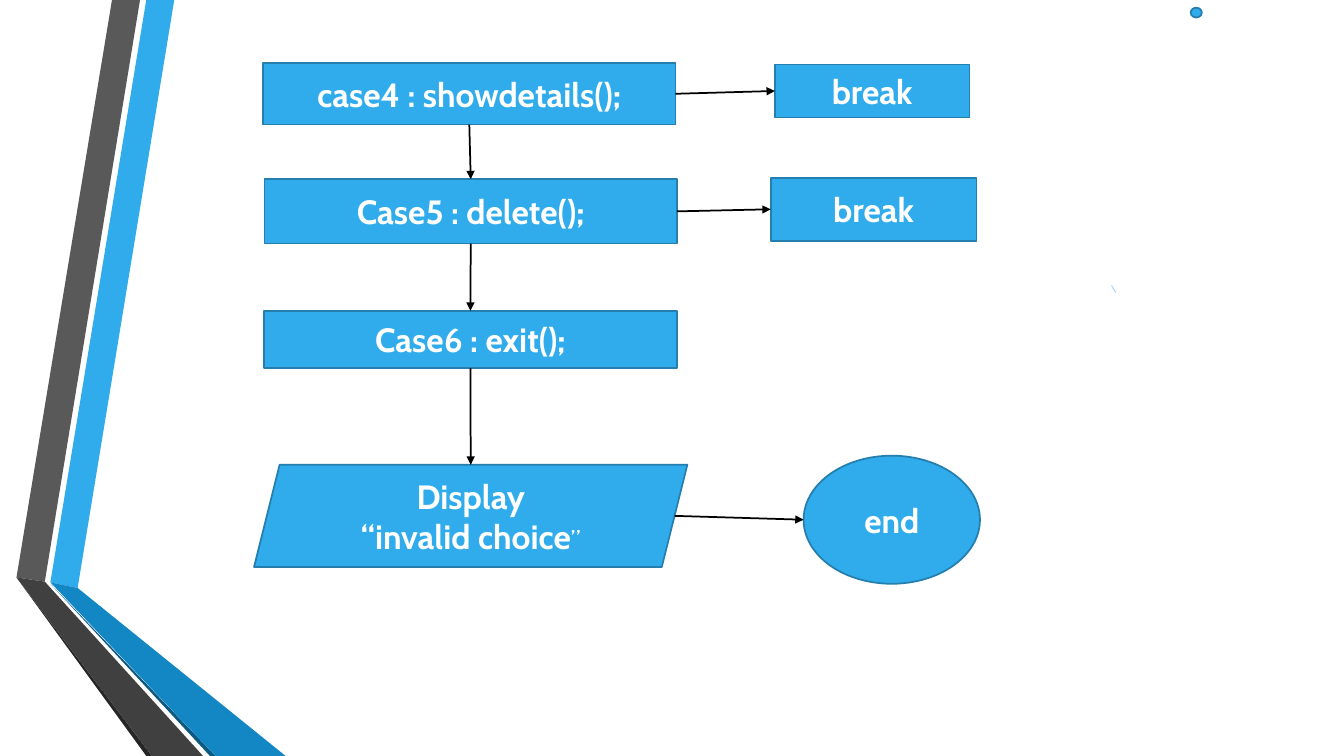
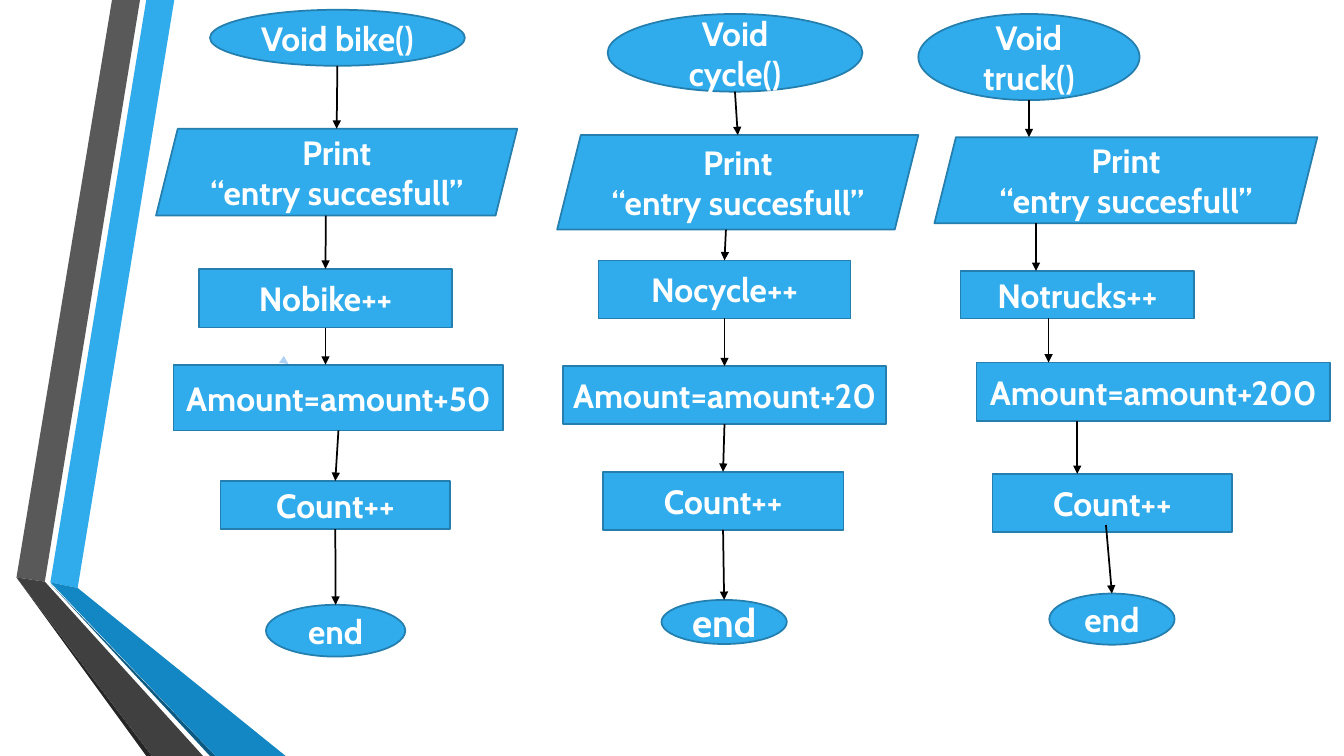
from lxml import etree
from pptx import Presentation
from pptx.dml.color import RGBColor
from pptx.enum import shapes, text
from pptx.oxml.ns import qn
from pptx.util import Pt

BLUE = RGBColor(0x30, 0xAC, 0xEC)
EDGE = RGBColor(0x24, 0x7F, 0xAF)
PALE = RGBColor(0xAE, 0xD2, 0xF4)
WHITE = RGBColor(0xFF, 0xFF, 0xFF)
BLACK = RGBColor(0, 0, 0)
FONT = "Cabin"

RECT = shapes.MSO_SHAPE.RECTANGLE
OVAL = shapes.MSO_SHAPE.OVAL
SLANT = shapes.MSO_SHAPE.PARALLELOGRAM
DOT = shapes.MSO_SHAPE.FLOWCHART_CONNECTOR
TOP, LEFT, BOTTOM, RIGHT = range(4)

# Folded ribbon at the left edge: colour and outline of each face
RIBBON = [
    (BLUE, [(36, 416), (55.5, 420), (124.5, 0), (104.5, 0)]),
    (RGBColor(0x59, 0x59, 0x59), [(100, 0), (80, 0), (11.75, 412.5), (32, 415.5)]),
    (RGBColor(0x26, 0x26, 0x26), [(11.75, 412.5), (104.5, 540), (108.5, 540)]),
    (RGBColor(0x0C, 0x5A, 0x82), [(36, 417), (150, 540), (154, 540)]),
    (RGBColor(0x12, 0x87, 0xC3), [(36, 416), (154, 540), (204, 540), (55.5, 420)]),
    (RGBColor(0x40, 0x40, 0x40), [(145, 540), (32, 415.5), (11.75, 412.5), (108.5, 540)]),
]


def draw_ribbon(slide):
    for color, outline in RIBBON:
        corners = [(Pt(x), Pt(y)) for x, y in outline]
        builder = slide.shapes.build_freeform(*corners[0], scale=1.0)
        builder.add_line_segments(corners[1:], close=True)
        face = builder.convert_to_shape()
        face.shadow.inherit = False
        face.fill.solid()
        face.fill.fore_color.rgb = color
        face.line.fill.background()


def add_text(paragraph, words, size=24, bold=True, color=WHITE):
    paragraph.alignment = text.PP_ALIGN.CENTER
    run = paragraph.add_run()
    run.text = words
    run.font.name = FONT
    run.font.size = Pt(size)
    run.font.bold = bold
    run.font.color.rgb = color


def add_step(slide, kind, lines, x, y, w, h, size=24):
    """A flowchart symbol with one paragraph per line."""
    step = slide.shapes.add_shape(kind, Pt(x), Pt(y), Pt(w), Pt(h))
    step.shadow.inherit = False
    step.fill.solid()
    step.fill.fore_color.rgb = BLUE
    step.line.color.rgb = EDGE
    step.line.width = Pt(1.25)
    frame = step.text_frame
    frame.vertical_anchor = text.MSO_ANCHOR.MIDDLE
    for i, words in enumerate(lines):
        paragraph = frame.add_paragraph() if i else frame.paragraphs[0]
        add_text(paragraph, words, size)
    return step


def side_point(step, side):
    """Middle of a side, in points; a slanted symbol's sides lean left."""
    x, y, w, h = (v.pt for v in (step.left, step.top, step.width, step.height))
    lean = h / 8 if step.auto_shape_type == SLANT and side != TOP else 0
    return {TOP: (x + w / 2, y), LEFT: (x, y + h / 2),
            BOTTOM: (x + w / 2 - lean, y + h), RIGHT: (x + w - lean, y + h / 2)}[side]


def add_line(slide, start, end, color=BLACK, width=1.25, arrow=True):
    line = slide.shapes.add_connector(
        shapes.MSO_CONNECTOR.STRAIGHT, *(Pt(v) for v in (*start, *end)))
    line.line.color.rgb = color
    line.line.width = Pt(width)
    if arrow:
        etree.SubElement(line.line._get_or_add_ln(), qn("a:tailEnd"), type="triangle")
    etree.SubElement(line._element.spPr, qn("a:effectLst"))
    return line


def link(slide, source, target, out=BOTTOM, into=TOP, start=None, end=None):
    """Arrow between two steps; start or end replaces the middle of a side."""
    arrow = add_line(slide, start or side_point(source, out), end or side_point(target, into))
    if not start and source.auto_shape_type == RECT:
        arrow.begin_connect(source, out)
    if not end and target.auto_shape_type == RECT:
        arrow.end_connect(target, into)


def draw_cases(slide, x, y):
    """Switch cases downwards, each with its outcome on the right."""
    def place(kind, lines, dx, dy, w, h):
        return add_step(slide, kind, lines, x + dx, y + dy, w, h)

    show = place(RECT, ["case4 : showdetails();"], 6.5, 0, 294.5, 44)
    delete = place(RECT, ["Case5 : delete();"], 7.5, 83, 294.5, 46)
    leave = place(RECT, ["Case6 : exit();"], 7, 177, 295, 41)
    invalid = place(SLANT, ["Display", "“invalid choice"], 0, 287, 309.5, 73)
    add_text(invalid.text_frame.paragraphs[-1], "”", size=18, bold=False)
    show_break = place(RECT, ["break"], 372, 1, 139, 38)
    delete_break = place(RECT, ["break"], 369, 82, 147, 45)
    finish = place(OVAL, ["end"], 392.5, 280.5, 126, 91.5)

    cases = [show, delete, leave, invalid]
    for source, target in zip(cases, cases[1:]):
        link(slide, source, target)
    for source, target in [(show, show_break), (delete, delete_break), (invalid, finish)]:
        link(slide, source, target, RIGHT, LEFT)


def draw_routine(slide, x, y, steps, moved):
    """One column of steps; moved gives arrows that leave the middles."""
    placed = [add_step(slide, kind, lines, x + dx, y + dy, w, h, *size)
              for kind, lines, dx, dy, w, h, *size in steps]
    for i, (source, target) in enumerate(zip(placed, placed[1:])):
        start, end = (p and (x + p[0], y + p[1]) for p in moved.get(i, (None, None)))
        link(slide, source, target, start=start, end=end)


PRINT = ["Print", "“entry succesfull”"]

# Left, top, steps and moved arrows of each routine
ROUTINES = [
    (111.5, 7, [
        (OVAL, ["Void bike()"], 38.5, 0, 182, 40),
        (SLANT, PRINT, 0, 85, 258, 62),
        (RECT, ["Nobike++"], 30.5, 185, 181, 42),
        (RECT, ["Amount=amount+50"], 12.5, 253.5, 235.5, 47),
        (RECT, ["Count++"], 46, 336.5, 164, 34.5),
        (OVAL, ["end"], 78.5, 425, 99.5, 37),
    ], {2: (None, (121, 253.5))}),
    (398, 10, [
        (OVAL, ["Void cycle()"], 36, 0, 182, 55.5),
        (SLANT, PRINT, 0, 86.5, 258, 67.5),
        (RECT, ["Nocycle++"], 29.5, 176, 180, 41.5),
        (RECT, ["Amount=amount+20"], 4, 251.5, 231, 41.5),
        (RECT, ["Count++"], 32.5, 327, 172, 41.5),
        (OVAL, ["end"], 74.5, 418.5, 89.5, 31.5, 28),
    ], {}),
    (656, 10, [
        (OVAL, ["Void truck()"], 0, 0, 158, 61.5),
        (SLANT, PRINT, 11.5, 88, 273.5, 61.5),
        (RECT, ["Notrucks++"], 30, 183.5, 167, 34),
        (RECT, ["Amount=amount+200"], 41.5, 249, 252.5, 42),
        (RECT, ["Count++"], 53, 328.5, 171, 41.5),
        (OVAL, ["end"], 93.5, 414, 89.5, 36.5),
    ], {0: (None, (79, 88)),
        1: ((84, 149.5), (84, 183.5)),
        2: ((93, 217.5), (93, 249)),
        3: ((113.5, 291), (113.5, 328.5)),
        4: ((134, 365), None)}),
]


def main():
    prs = Presentation()
    prs.slide_width, prs.slide_height = Pt(960), Pt(540)
    cases, routines = (prs.slides.add_slide(prs.slide_layouts[6]) for _ in range(2))

    # Cases of the menu
    draw_ribbon(cases)
    draw_cases(cases, 181.5, 45)
    add_line(cases, (794, 204), (797, 209), PALE, 0.75, arrow=False)
    add_step(cases, DOT, [], 850.5, 5.5, 8, 7)

    # Routines for each vehicle
    draw_ribbon(routines)
    for routine in ROUTINES:
        draw_routine(routines, *routine)
    add_line(routines, (204.5, 259), (206, 260), PALE, 0.75)

    prs.save("out.pptx")


if __name__ == "__main__":
    main()
